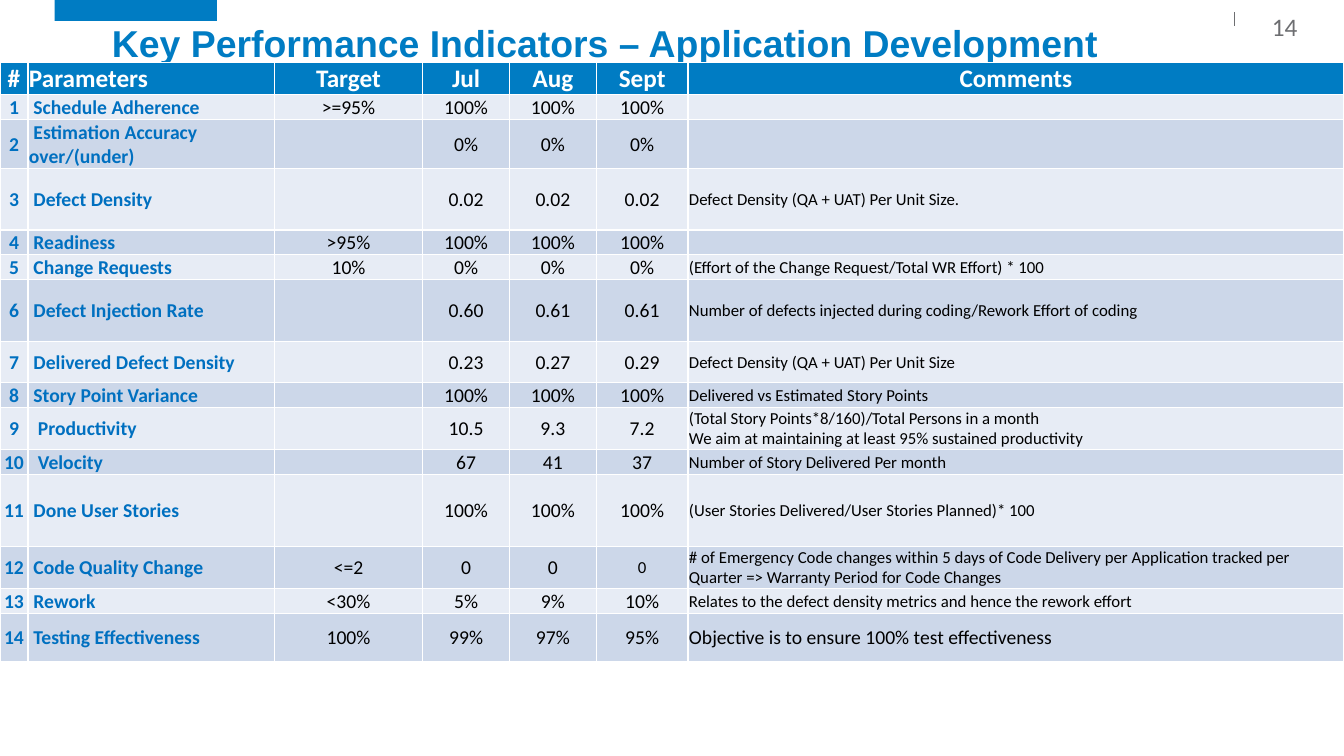
from lxml.etree import SubElement
from pptx import Presentation
from pptx.dml.color import RGBColor
from pptx.enum.shapes import MSO_CONNECTOR, MSO_SHAPE
from pptx.enum.text import MSO_ANCHOR, PP_ALIGN
from pptx.oxml.ns import qn
from pptx.util import Pt

BRAND_BLUE = RGBColor(0x00, 0x7C, 0xC3)
LABEL_BLUE = RGBColor(0x00, 0x70, 0xC0)
GRAY = RGBColor(0x6D, 0x6E, 0x71)
WHITE = RGBColor(0xFF, 0xFF, 0xFF)
BLACK = RGBColor(0x00, 0x00, 0x00)
BANDS = (RGBColor(0xCC, 0xD7, 0xE9), RGBColor(0xE7, 0xEC, 0xF5))

HEADERS = ("#", "Parameters", "Target", "Jul", "Aug", "Sept", "Comments")
COLUMN_WIDTHS = (20, 176, 106, 62, 62, 65.5, 468.5)
HEADER_HEIGHT = 22.4
PARAMETERS, SEPT, COMMENTS = 1, 5, 6
LABEL_INDENT = 3.2
DEEP_INDENT_ROWS = (9, 10)
SIZE_EXCEPTIONS = {(12, SEPT): 12, (14, COMMENTS): 14}

INDICATORS = (
    (17.5, "Schedule Adherence", ">=95%", "100%", "100%", "100%", ""),
    (35, "Estimation Accuracy over/(under)", "", "0%", "0%", "0%", ""),
    (44, "Defect Density", "", "0.02", "0.02", "0.02",
     "Defect Density (QA + UAT) Per Unit Size."),
    (17.5, "Readiness", ">95%", "100%", "100%", "100%", ""),
    (17.5, "Change Requests", "10%", "0%", "0%", "0%",
     "(Effort of the Change Request/Total WR Effort) * 100"),
    (44, "Defect Injection Rate", "", "0.60", "0.61", "0.61",
     "Number of defects injected during coding/Rework Effort of coding"),
    (29.5, "Delivered Defect Density", "", "0.23", "0.27", "0.29",
     "Defect Density (QA + UAT) Per Unit Size"),
    (17.5, "Story Point Variance", "", "100%", "100%", "100%",
     "Delivered vs Estimated Story Points"),
    (30, "Productivity", "", "10.5", "9.3", "7.2",
     "(Total Story Points*8/160)/Total Persons in a month\n"
     "We aim at maintaining at least 95% sustained productivity"),
    (17.5, "Velocity", "", "67", "41", "37",
     "Number of Story Delivered Per month"),
    (51.5, "Done User Stories", "", "100%", "100%", "100%",
     "(User Stories Delivered/User Stories Planned)* 100"),
    (30, "Code Quality Change", "<=2", "0", "0", "0",
     "# of Emergency Code changes within 5 days of Code Delivery per Application "
     "tracked per Quarter => Warranty Period for Code Changes"),
    (17.5, "Rework", "<30%", "5%", "9%", "10%",
     "Relates to the defect density metrics and hence the rework effort"),
    (34.5, "Testing Effectiveness", "100%", "99%", "97%", "95%",
     "Objective is to ensure 100% test effectiveness"),
)


def apply_format(target, values):
    for name, value in values.items():
        setattr(target, name, value)


def format_font(font, name, size, color, bold=False):
    apply_format(font, {"name": name, "size": Pt(size), "bold": bold})
    font.color.rgb = color


def add_accent_bar(slide):
    bar = slide.shapes.add_shape(MSO_SHAPE.RECTANGLE, Pt(39), Pt(0), Pt(116), Pt(15))
    bar.shadow.inherit = False
    bar.fill.solid()
    bar.fill.fore_color.rgb = BRAND_BLUE
    bar.line.fill.background()


def add_number_divider(slide):
    divider = slide.shapes.add_connector(
        MSO_CONNECTOR.STRAIGHT, Pt(882), Pt(8.6), Pt(882), Pt(18.7))
    divider.line.color.rgb = GRAY
    divider.line.width = Pt(1)
    SubElement(divider.element.spPr, qn("a:effectLst"))


def add_slide_number(slide):
    box = slide.shapes.add_textbox(Pt(901.4), Pt(4.3), Pt(46), Pt(22.3))
    box.text_frame.word_wrap = True
    paragraph = box.text_frame.paragraphs[0]
    run = paragraph.add_run()
    run.text = "14"
    format_font(run.font, "Calibri", 18, GRAY)


def set_title(slide):
    title = slide.shapes.title
    apply_format(title, {"left": Pt(72.7), "top": Pt(12), "width": Pt(815), "height": Pt(41)})
    frame = title.text_frame
    frame.text = "Key Performance Indicators – Application Development"
    apply_format(frame, {"word_wrap": True, "vertical_anchor": MSO_ANCHOR.MIDDLE})
    paragraph = frame.paragraphs[0]
    apply_format(paragraph, {"alignment": PP_ALIGN.LEFT, "line_spacing": 0.9})
    format_font(paragraph.runs[0].font, "Arial", 26.7, BRAND_BLUE, True)


def add_borders(cell_properties):
    for index, side in enumerate(("a:lnL", "a:lnR", "a:lnT", "a:lnB")):
        border = cell_properties.makeelement(qn(side), {"w": str(Pt(1))})
        fill = SubElement(border, qn("a:solidFill"))
        SubElement(fill, qn("a:srgbClr"), {"val": str(WHITE)})
        cell_properties.insert(index, border)


def cell_style(row, column):
    if row == 0:
        return 18, WHITE, True
    if column <= PARAMETERS:
        return 14, LABEL_BLUE, True
    size = 12 if column == COMMENTS else 14
    return SIZE_EXCEPTIONS.get((row, column), size), BLACK, False


def fill_cell(cell, row, column, text):
    margins = {f"margin_{side}": Pt(0.72) for side in ("left", "right", "top")}
    apply_format(cell, {**margins, "margin_bottom": Pt(0),
                        "vertical_anchor": MSO_ANCHOR.MIDDLE, "text": text})
    cell.fill.solid()
    cell.fill.fore_color.rgb = BANDS[row % 2] if row else BRAND_BLUE
    add_borders(cell._tc.get_or_add_tcPr())
    size, color, bold = cell_style(row, column)
    left_aligned = column == PARAMETERS or (row and column == COMMENTS)
    for paragraph in cell.text_frame.paragraphs:
        paragraph.alignment = PP_ALIGN.LEFT if left_aligned else PP_ALIGN.CENTER
        for run in paragraph.runs:
            format_font(run.font, "Calibri", size, color, bold)
        if not text:
            paragraph._p.get_or_add_endParaRPr().set("sz", str(size * 100))
        if row and column == PARAMETERS:
            indent = LABEL_INDENT * (2 if row in DEEP_INDENT_ROWS else 1)
            paragraph._p.get_or_add_pPr().set("indent", str(Pt(indent)))


def add_indicator_table(slide):
    heights = [HEADER_HEIGHT] + [indicator[0] for indicator in INDICATORS]
    rows = [HEADERS] + [(str(number), *indicator[1:])
                        for number, indicator in enumerate(INDICATORS, 1)]
    table = slide.shapes.add_table(
        len(rows), len(HEADERS), Pt(0), Pt(44.8), Pt(960), Pt(sum(heights))).table
    for column, width in zip(table.columns, COLUMN_WIDTHS):
        column.width = Pt(width)
    for row_index, (height, texts) in enumerate(zip(heights, rows)):
        table.rows[row_index].height = Pt(height)
        for column_index, text in enumerate(texts):
            fill_cell(table.cell(row_index, column_index), row_index, column_index, text)


def main():
    presentation = Presentation()
    apply_format(presentation, {"slide_width": Pt(960), "slide_height": Pt(540)})
    slide = presentation.slides.add_slide(presentation.slide_layouts[5])
    add_accent_bar(slide)
    add_number_divider(slide)
    set_title(slide)
    add_indicator_table(slide)
    add_slide_number(slide)
    presentation.save("out.pptx")


if __name__ == "__main__":
    main()
